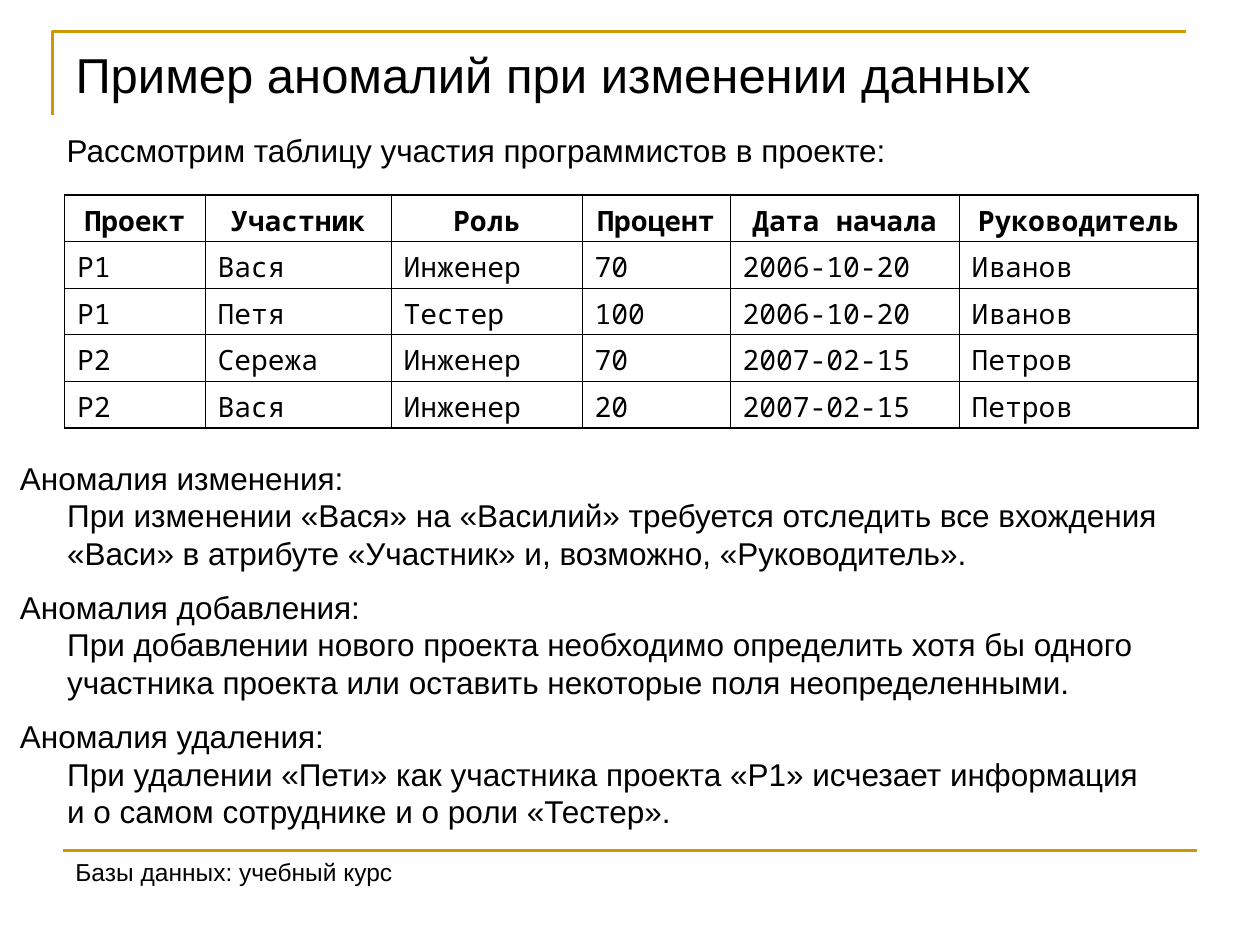
from dataclasses import dataclass

from lxml.etree import SubElement
from pptx import Presentation
from pptx.dml.color import RGBColor
from pptx.enum.shapes import MSO_CONNECTOR
from pptx.enum.text import MSO_ANCHOR, MSO_AUTO_SIZE, PP_ALIGN
from pptx.oxml.ns import qn
from pptx.util import Pt


@dataclass(frozen=True)
class Theme:
    ink: RGBColor = RGBColor(0, 0, 0)
    accent: RGBColor = RGBColor(0xCC, 0x99, 0x00)
    sans: str = "Arial"
    mono: str = "Noto Sans Mono"
    title: float = 28
    body: float = 18
    cell: float = 16
    footer: float = 14
    rule: float = 1.5
    outer: float = 1.08
    inner: float = 0.45


T = Theme()
ROWS = [
    ["Проект", "Участник", "Роль", "Процент", "Дата начала", "Руководитель"],
    ["P1", "Вася", "Инженер", "70", "2006-10-20", "Иванов"],
    ["P1", "Петя", "Тестер", "100", "2006-10-20", "Иванов"],
    ["P2", "Сережа", "Инженер", "70", "2007-02-15", "Петров"],
    ["P2", "Вася", "Инженер", "20", "2007-02-15", "Петров"],
]
COLUMNS = [80.3, 106.3, 109.1, 84.6, 130.9, 136.6]
ANOMALIES = [
    ("Аномалия изменения:",
     "При изменении «Вася» на «Василий» требуется отследить все вхождения\v"
     "«Васи» в атрибуте «Участник» и, возможно, «Руководитель»."),
    ("Аномалия добавления:",
     "При добавлении нового проекта необходимо определить хотя бы одного\v"
     "участника проекта или оставить некоторые поля неопределенными."),
    ("Аномалия удаления:",
     "При удалении «Пети» как участника проекта «P1» исчезает информация\v"
     "и о самом сотруднике и о роли «Тестер»."),
]


def set_all(target, values):
    for name, value in values.items():
        setattr(target, name, value)


def write(p, text, size, font=T.sans, bold=False, align=PP_ALIGN.LEFT):
    p.text = text
    p.alignment = align
    for r in p.runs:
        set_all(r.font, {"size": Pt(size), "name": font, "bold": bold})
        r.font.color.rgb = T.ink


def add_text(s, box, lines, size, wrap=False):
    tf = s.shapes.add_textbox(*map(Pt, box)).text_frame
    set_all(tf, {"word_wrap": wrap, "auto_size": MSO_AUTO_SIZE.SHAPE_TO_FIT_TEXT})
    for i, line in enumerate(lines):
        p = tf.paragraphs[0] if i == 0 else tf.add_paragraph()
        write(p, line, size)
    return tf


def add_header(s, box, text):
    x, y, w, h = box
    builder = s.shapes.build_freeform(Pt(x), Pt(y + h))
    builder.add_line_segments([(Pt(x), Pt(y)), (Pt(x + w), Pt(y))], close=False)
    frame = builder.convert_to_shape()
    frame.shadow.inherit = False
    frame.fill.background()
    set_all(frame.line, {"width": Pt(T.rule)})
    frame.line.color.rgb = T.accent

    title = s.shapes.title
    set_all(title, {"left": Pt(x + 6), "top": Pt(y + 3.6),
                    "width": Pt(w), "height": Pt(90)})
    tf = title.text_frame
    set_all(tf, {"vertical_anchor": MSO_ANCHOR.TOP, "word_wrap": True,
                 "auto_size": MSO_AUTO_SIZE.NONE})
    write(tf.paragraphs[0], text, T.title)


def add_border(cell, side, width):
    ln = SubElement(cell._tc.get_or_add_tcPr(), qn(f"a:ln{side}"), w=str(Pt(width)))
    fill = SubElement(ln, qn("a:solidFill"))
    SubElement(fill, qn("a:srgbClr"), val=str(T.ink))


def add_projects(s, box):
    last_row, last_col = len(ROWS) - 1, len(COLUMNS) - 1
    table = s.shapes.add_table(len(ROWS), len(COLUMNS), *map(Pt, box)).table
    set_all(table, {"first_row": False, "horz_banding": False})
    for column, width in zip(table.columns, COLUMNS):
        column.width = Pt(width)
    for i, values in enumerate(ROWS):
        table.rows[i].height = Pt(box[3] / len(ROWS))
        for j, value in enumerate(values):
            cell = table.cell(i, j)
            edges = {"L": j == 0, "R": j == last_col, "T": i == 0, "B": i == last_row}
            for side, outside in edges.items():
                add_border(cell, side, T.outer if outside else T.inner)
            cell.fill.background()
            head = i == 0
            write(cell.text_frame.paragraphs[0], value, T.cell, T.mono, head,
                  PP_ALIGN.CENTER if head else PP_ALIGN.LEFT)


def add_anomalies(s, box):
    x, y, w, h = box
    step = h / len(ANOMALIES)
    for i, lines in enumerate(ANOMALIES):
        tf = add_text(s, (x, y + i * step, w, 72), lines, T.body, wrap=True)
        pPr = tf.paragraphs[1]._p.get_or_add_pPr()
        pPr.set("marL", str(Pt(27)))
        pPr.set("indent", "0")


def add_footer(s, box, text):
    x, y, w, h = box
    line = s.shapes.add_connector(MSO_CONNECTOR.STRAIGHT, Pt(x), Pt(y), Pt(x + w), Pt(y))
    SubElement(line._element.spPr, qn("a:effectLst"))
    line.line.width = Pt(T.rule)
    line.line.color.rgb = T.accent
    add_text(s, (x, y, 196, h), [text], T.footer)


def main():
    prs = Presentation()
    set_all(prs, {"slide_width": Pt(720), "slide_height": Pt(540)})
    s = prs.slides.add_slide(prs.slide_layouts[5])
    add_header(s, (30, 18, 648, 48), "Пример аномалий при изменении данных")
    add_text(s, (31, 71.3, 484.5, 29),
             ["Рассмотрим таблицу участия программистов в проекте:"], T.body)
    add_projects(s, (36.9, 111.5, 647.8, 133))
    add_anomalies(s, (4.3, 258.5, 709, 221.4))
    add_footer(s, (36, 486, 648, 24.5), "Базы данных: учебный курс")
    prs.save("out.pptx")


if __name__ == "__main__":
    main()
